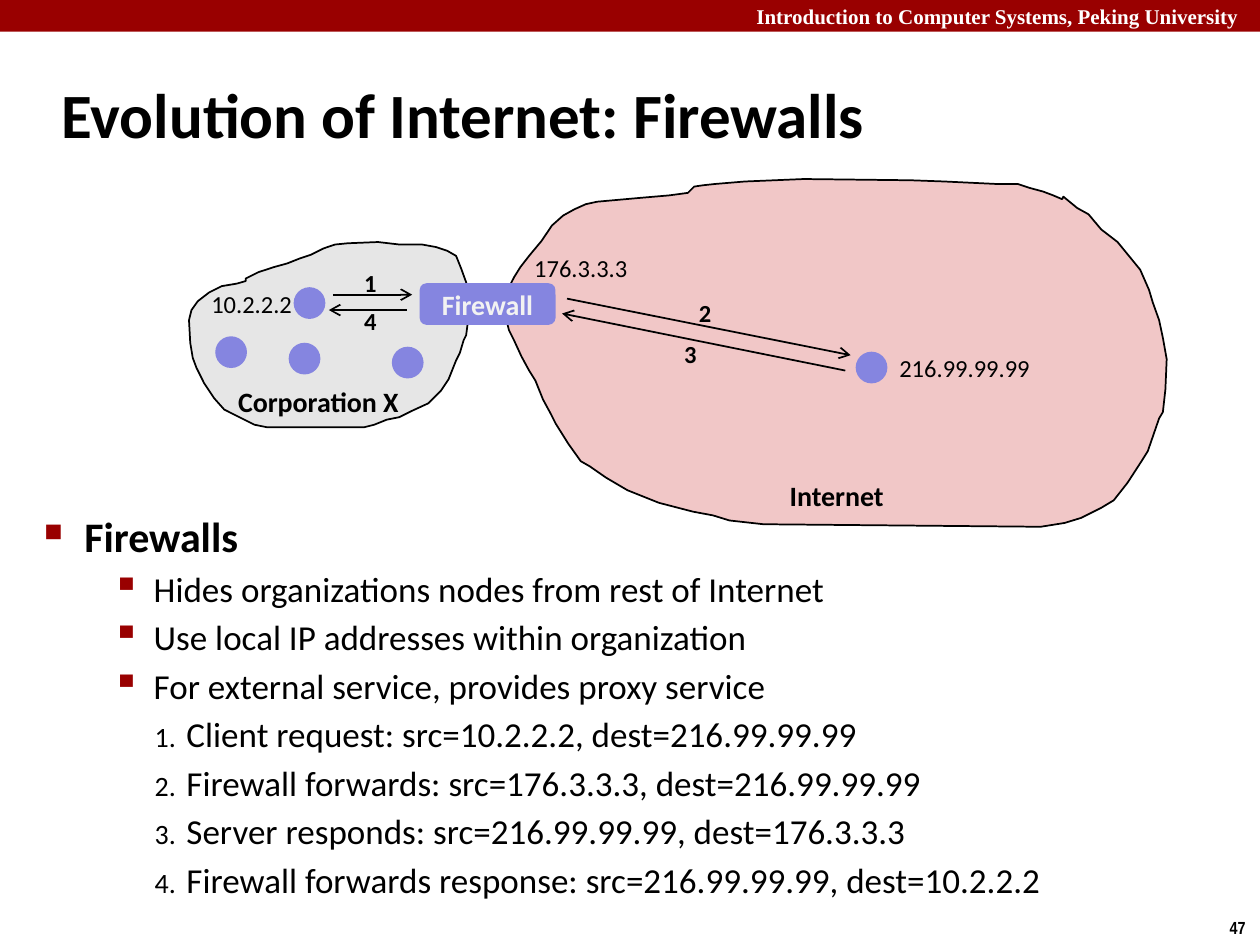
from dataclasses import dataclass

from lxml.etree import SubElement
from pptx import Presentation
from pptx.dml.color import RGBColor
from pptx.enum.shapes import MSO_CONNECTOR as Connector, MSO_SHAPE as Shape
from pptx.enum.text import MSO_ANCHOR as Anchor, MSO_AUTO_SIZE as AutoSize, PP_ALIGN as Align
from pptx.oxml.ns import qn
from pptx.util import Cm, Pt


@dataclass(frozen=True)
class Theme:
    accent: str = "990000"
    ink: str = "000000"
    paper: str = "FFFFFF"
    node: str = "8585E0"
    node_text: str = "F2F2F2"
    corporation: str = "E6E6E6"
    internet: str = "F1C7C7"
    font: str = "Calibri"
    header_font: str = "Times New Roman"
    number_font: str = "Arial Narrow"
    title: float = 36
    heading: float = 24
    body: float = 20
    name: float = 16
    label: float = 14
    header: float = 12
    number: float = 10
    gap: float = 3.7


@dataclass(frozen=True)
class Box:
    left: float
    top: float
    width: float
    height: float

    def inner(self, left, top, width, height):
        return Box(self.left + left, self.top + top, width, height)

    def lengths(self):
        return Cm(self.left), Cm(self.top), Cm(self.width), Cm(self.height)


THEME = Theme()
CORPORATION_OUTLINE = [
    (45, 31), (38, 33), (26, 35), (16, 40), (7, 47), (2, 54), (0, 62), (1, 80), (3, 92),
    (6, 100), (8, 104), (12, 112), (20, 124), (28, 133), (42, 140), (52, 145), (62, 147),
    (94, 147), (139, 147), (147, 145), (157, 141), (167, 139), (177, 134), (190, 128),
    (200, 118), (206, 109), (212, 94), (215, 88), (218, 78), (220, 74), (221, 66),
    (221, 46), (220, 32), (216, 21), (212, 11), (205, 7), (196, 4), (185, 2), (167, 2),
    (150, 0), (126, 1), (116, 2), (107, 5), (97, 10), (88, 13), (78, 17), (67, 20),
    (55, 24), (45, 29),
]
INTERNET_OUTLINE = [
    (0, 102), (2, 94), (5, 84), (8, 78), (13, 70), (20, 61), (30, 49), (38, 37), (47, 29),
    (56, 24), (65, 20), (74, 18), (108, 15), (131, 13), (146, 11), (151, 6), (158, 5),
    (167, 4), (191, 2), (238, 0), (323, 1), (350, 2), (392, 4), (408, 4), (417, 7),
    (428, 10), (436, 13), (443, 16), (444, 14), (455, 23), (464, 28), (474, 40), (487, 50),
    (496, 61), (505, 72), (512, 88), (515, 98), (520, 112), (523, 126), (526, 143),
    (525, 167), (523, 185), (520, 190), (511, 216), (506, 224), (495, 241), (484, 255),
    (474, 261), (458, 269), (445, 273), (426, 276), (206, 274), (179, 271), (166, 267),
    (150, 264), (123, 257), (98, 247), (81, 237), (68, 228), (61, 224), (51, 210),
    (41, 194), (37, 186), (31, 175), (25, 160), (20, 152), (14, 141), (8, 128), (4, 120),
    (2, 112),
]


def write(para, text, size=THEME.label, color=THEME.ink, font=THEME.font, bold=False, align=Align.LEFT):
    para.alignment = align
    span = para.add_run()
    span.text = text
    span.font.name = font
    span.font.size = Pt(size)
    span.font.bold = bold
    span.font.color.rgb = RGBColor.from_string(color)


def add_label(page, box, text, **style):
    label = page.shapes.add_textbox(*box.lengths())
    label.text_frame.word_wrap = False
    write(label.text_frame.paragraphs[0], text, **style)
    return label


def paint(shape, fill, outlined=False):
    shape.shadow.inherit = False
    shape.fill.solid()
    shape.fill.fore_color.rgb = RGBColor.from_string(fill)
    if outlined:
        shape.line.color.rgb = RGBColor.from_string(THEME.ink)
        shape.line.width = Pt(1)
    else:
        shape.line.fill.background()
    return shape


def add_cloud(page, box, outline, fill):
    left, top, _, _ = box.lengths()
    builder = page.shapes.build_freeform(*outline[0], scale=Cm(0.0254))
    builder.add_line_segments(outline[1:], close=True)
    paint(builder.convert_to_shape(left, top), fill, outlined=True)


def add_arrow(page, box, start, end):
    ends = [Cm(length) for x, y in (start, end) for length in (box.left + x, box.top + y)]
    arrow = page.shapes.add_connector(Connector.STRAIGHT, *ends)
    arrow.line.color.rgb = RGBColor.from_string(THEME.ink)
    arrow.line.width = Pt(1)
    SubElement(arrow.line._get_or_add_ln(), qn("a:tailEnd"), type="arrow")
    SubElement(arrow._element.spPr, qn("a:effectLst"))


def add_header(page, box):
    paint(page.shapes.add_shape(Shape.RECTANGLE, *box.lengths()), THEME.accent)
    course = add_label(page, box.inner(12.07, 0, 13.15, box.height),
                       "Introduction to Computer Systems, Peking University",
                       size=THEME.header, color=THEME.paper, font=THEME.header_font,
                       bold=True, align=Align.RIGHT)
    frame = course.text_frame
    frame.word_wrap = True
    frame.margin_top = frame.margin_bottom = 0
    frame.vertical_anchor = Anchor.MIDDLE


def add_title(page, box):
    title = page.shapes.title
    title.left, title.top, title.width, title.height = box.lengths()
    frame = title.text_frame
    frame.auto_size = AutoSize.NONE
    frame.vertical_anchor = Anchor.MIDDLE
    write(frame.paragraphs[0], "Evolution of Internet: Firewalls", size=THEME.title, bold=True)


def add_diagram(page, box):
    add_cloud(page, box.inner(0, 1.27, 5.61, 3.76), CORPORATION_OUTLINE, THEME.corporation)
    add_cloud(page, box.inner(6.35, 0, 13.36, 7.06), INTERNET_OUTLINE, THEME.internet)

    for left, top in [(0.53, 3.17), (2.01, 3.3), (2.11, 2.18), (4.09, 3.38), (13.44, 3.48)]:
        node = page.shapes.add_shape(Shape.OVAL, *box.inner(left, top, 0.64, 0.64).lengths())
        paint(node, THEME.node)

    firewall = page.shapes.add_shape(Shape.ROUNDED_RECTANGLE, *box.inner(4.65, 2.1, 2.74, 0.84).lengths())
    paint(firewall, THEME.node)
    firewall.text_frame.vertical_anchor = Anchor.MIDDLE
    write(firewall.text_frame.paragraphs[0], "Firewall", size=THEME.name,
          color=THEME.node_text, bold=True, align=Align.CENTER)

    for start, end in [((2.9, 2.33), (4.5, 2.33)), ((4.39, 2.64), (2.82, 2.64)),
                       ((7.62, 2.41), (13.34, 3.55)), ((13.23, 3.86), (7.52, 2.71))]:
        add_arrow(page, box, start, end)

    for text, left, top, width in [("Corporation X", 0.74, 4.01, 3.81), ("Internet", 11.86, 5.92, 2.44)]:
        add_label(page, box.inner(left, top, width, 0.94), text, size=THEME.name, bold=True)
    for text, left, top, width in [("10.2.2.2", 0.2, 2.1, 2.18), ("176.3.3.3", 6.71, 1.37, 2.41),
                                   ("216.99.99.99", 14.07, 3.38, 3.18)]:
        add_label(page, box.inner(left, top, width, 0.86), text)
    for text, left, top in [("1", 3.28, 1.67), ("2", 10.03, 2.28), ("3", 9.73, 3.1), ("4", 3.28, 2.44)]:
        add_label(page, box.inner(left, top, 0.76, 0.86), text, bold=True)


def set_bullet(para, margin, hang, percent, char=None):
    props = para._p.get_or_add_pPr()
    props.set("marL", str(Cm(margin)))
    props.set("indent", str(-Cm(hang)))
    if char:
        color = SubElement(props, qn("a:buClr"))
        SubElement(color, qn("a:srgbClr"), val=THEME.accent)
    SubElement(props, qn("a:buSzPct"), val=str(percent * 1000))
    if char:
        SubElement(props, qn("a:buChar"), char=char)
    else:
        SubElement(props, qn("a:buAutoNum"), type="arabicPeriod")


def add_points(page, box):
    levels = [
        (dict(margin=0.81, hang=0.81, percent=60, char="■"), dict(size=THEME.heading, bold=True)),
        (dict(margin=2.21, hang=0.84, percent=110, char="▪"), dict(size=THEME.body)),
        (dict(margin=2.87, hang=0.64, percent=80), dict(size=THEME.body)),
    ]
    points = [
        (0, "Firewalls"),
        (1, "Hides organizations nodes from rest of Internet"),
        (1, "Use local IP addresses within organization"),
        (1, "For external service, provides proxy service"),
        (2, "Client request: src=10.2.2.2, dest=216.99.99.99"),
        (2, "Firewall forwards: src=176.3.3.3, dest=216.99.99.99"),
        (2, "Server responds: src=216.99.99.99, dest=176.3.3.3"),
        (2, "Firewall forwards response: src=216.99.99.99, dest=10.2.2.2"),
    ]
    frame = page.shapes.add_textbox(*box.lengths()).text_frame
    frame.word_wrap = True
    for index, (level, text) in enumerate(points):
        para = frame.add_paragraph() if index else frame.paragraphs[0]
        bullet, style = levels[level]
        para.level = level
        set_bullet(para, **bullet)
        para.space_before = Pt(THEME.gap if index else 0)
        write(para, text, **style)


def main():
    deck = Presentation()
    deck.slide_width, deck.slide_height = Cm(25.4), Cm(19.05)
    page = deck.slides.add_slide(deck.slide_layouts.get_by_name("Title Only"))
    add_header(page, Box(0, 0, 25.4, 0.64))
    add_title(page, Box(0.99, 1.22, 21.08, 2.11))
    add_points(page, Box(0.64, 10.16, 23.09, 8.46))
    add_diagram(page, Box(3.81, 3.61, 19.71, 7.06))
    add_label(page, Box(24.54, 18.36, 0.86, 0.69), "47",
              size=THEME.number, font=THEME.number_font, bold=True)
    deck.save("out.pptx")


if __name__ == "__main__":
    main()
